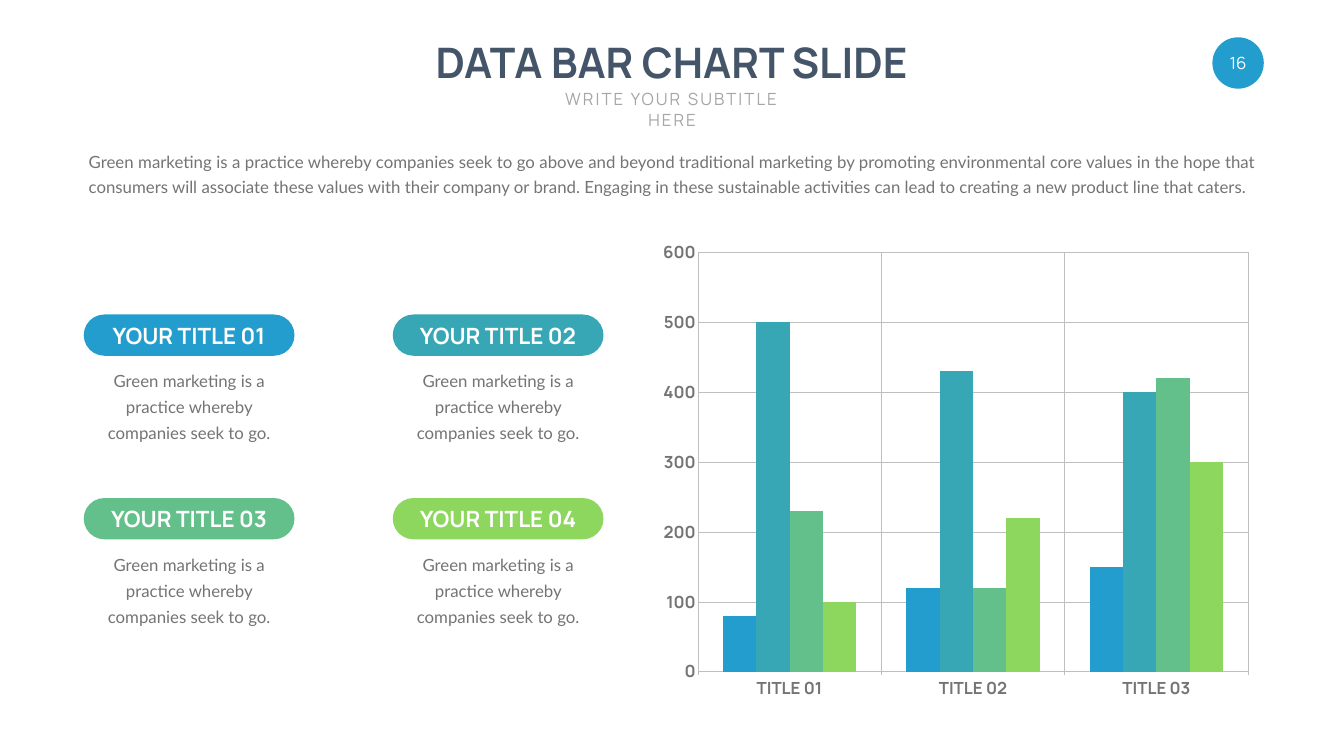
from dataclasses import dataclass

from pptx import Presentation
from pptx.chart.data import CategoryChartData
from pptx.dml.color import RGBColor
from pptx.enum.chart import XL_CHART_TYPE, XL_TICK_MARK
from pptx.enum.shapes import MSO_SHAPE
from pptx.enum.text import MSO_ANCHOR, PP_ALIGN
from pptx.oxml import parse_xml
from pptx.oxml.ns import nsdecls
from pptx.util import Cm, Pt


@dataclass(frozen=True)
class Theme:
    hues: tuple = ("229DCE", "37A7B6", "63C08A", "8ED75E")
    white: str = "FFFFFF"
    navy: str = "445469"
    pale: str = "A6A6A6"
    gray: str = "737572"
    rule: str = "BFBFBF"
    head: str = "Manrope"
    body: str = "Lato"
    large: int = 60
    mid: int = 32
    small: int = 24


theme = Theme()


def style(font, color, **values):
    """Set the color and every given value on a font."""
    font.color.rgb = RGBColor.from_string(color)
    for name, value in values.items():
        setattr(font, name, value)


def write(shape, text, color, form, align=PP_ALIGN.CENTER, lead=None, wrap=True):
    """Put one styled paragraph in a shape and return its run."""
    shape.text_frame.word_wrap = wrap
    para = shape.text_frame.paragraphs[0]
    para.alignment = align
    para.line_spacing = lead
    run = para.add_run()
    run.text = text
    style(run.font, color, **form)
    return run


title_form = {"name": theme.head, "size": Pt(theme.large), "bold": True}
pill_form = {"name": theme.head, "size": Pt(theme.mid), "bold": True}
label_form = {"name": theme.head, "size": Pt(theme.small), "bold": True}
plain_form = {"name": theme.head, "size": Pt(theme.small), "bold": False}
body_form = {"name": theme.body, "size": Pt(theme.small), "bold": False}

deck = Presentation()
deck.slide_width, deck.slide_height = Cm(67.72), Cm(38.1)
slide = deck.slides.add_slide(deck.slide_layouts[6])
shapes = slide.shapes

# Page number
badge = shapes.add_shape(MSO_SHAPE.OVAL, Cm(61.09), Cm(1.88), Cm(2.59), Cm(2.59))
badge.shadow.inherit = False
badge.fill.solid()
badge.fill.fore_color.rgb = RGBColor.from_string(theme.hues[0])
badge.line.fill.background()
for side in ("left", "top", "right", "bottom"):
    setattr(badge.text_frame, f"margin_{side}", 0)
write(badge, "16", theme.white, plain_form)

# Heading
title = shapes.add_textbox(Cm(21.18), Cm(1.7), Cm(25.32), Cm(2.82))
write(title, "DATA BAR CHART SLIDE", theme.navy, title_form, wrap=False)
sub = shapes.add_textbox(Cm(26.97), Cm(4.37), Cm(13.79), Cm(1.27))
run = write(sub, "WRITE YOUR SUBTITLE HERE", theme.pale, plain_form)
run.font._element.set("spc", "300")

intro = shapes.add_textbox(Cm(4.22), Cm(7.21), Cm(59.26), Cm(2.74))
write(
    intro,
    "Green marketing is a practice whereby companies seek to go above and beyond "
    "traditional marketing by promoting environmental core values in the hope that "
    "consumers will associate these values with their company or brand. Engaging in "
    "these sustainable activities can lead to creating a new product line that caters.",
    theme.gray, body_form, PP_ALIGN.JUSTIFY, Pt(37),
)

# Chart
data = CategoryChartData()
data.categories = ["TITLE 01", "TITLE 02", "TITLE 03"]
rows = [(80, 120, 150), (500, 430, 400), (230, 120, 420), (100, 220, 300)]
for num, row in enumerate(rows, 1):
    data.add_series(f"Series {num}", row)
chart = shapes.add_chart(
    XL_CHART_TYPE.COLUMN_CLUSTERED, Cm(33.35), Cm(12.14), Cm(30.15), Cm(23.85), data
).chart
chart.has_title = chart.has_legend = False
style(chart.font, theme.gray, **label_form)

plot = chart.plots[0]
plot.gap_width, plot.overlap, plot.vary_by_categories = 150, 0, False
for bars, hue in zip(plot.series, theme.hues):
    bars.format.fill.solid()
    bars.format.fill.fore_color.rgb = RGBColor.from_string(hue)

chart.value_axis.minimum_scale = 0
chart.value_axis.maximum_scale = 600
chart.value_axis.major_unit = 100
ticks = (XL_TICK_MARK.OUTSIDE, XL_TICK_MARK.NONE)
for axis, tick in zip((chart.category_axis, chart.value_axis), ticks):
    axis.major_tick_mark = tick
    axis.minor_tick_mark = XL_TICK_MARK.NONE
    axis.has_major_gridlines = True
    style(axis.tick_labels.font, theme.gray, **label_form)
    for line in (axis.format.line, axis.major_gridlines.format.line):
        line.color.rgb = RGBColor.from_string(theme.rule)
        line.width = Pt(0.75)

frame = {"x": 0.06, "y": 0.02, "w": 0.92, "h": 0.89}
modes = '<c:layoutTarget val="inner"/><c:xMode val="edge"/><c:yMode val="edge"/>'
sizes = "".join(f'<c:{key} val="{value}"/>' for key, value in frame.items())
area = chart.element.xpath(".//c:plotArea")[0]
for old in area.xpath("./c:layout"):
    area.remove(old)
area.insert(0, parse_xml(
    f'<c:layout {nsdecls("c")}><c:manualLayout>{modes}{sizes}</c:manualLayout></c:layout>'
))

# Titled notes in a two by two grid
for spot, hue in enumerate(theme.hues):
    row, col = divmod(spot, 2)
    left, top = 4.22 + col * 15.57, 15.85 + row * 9.25
    pill = shapes.add_shape(
        MSO_SHAPE.ROUNDED_RECTANGLE, Cm(left), Cm(top), Cm(10.62), Cm(2.08)
    )
    pill.adjustments[0] = 0.5
    pill.shadow.inherit = False
    pill.fill.solid()
    pill.fill.fore_color.rgb = RGBColor.from_string(hue)
    pill.line.fill.background()
    pill.text_frame.vertical_anchor = MSO_ANCHOR.MIDDLE
    write(pill, f"YOUR TITLE {spot + 1:02}", theme.white, pill_form, wrap=False)
    note = shapes.add_textbox(Cm(left), Cm(top + 2.44), Cm(10.62), Cm(4.06))
    write(note, "Green marketing is a practice whereby companies seek to go.",
          theme.gray, body_form, lead=Pt(37))

deck.save("out.pptx")
